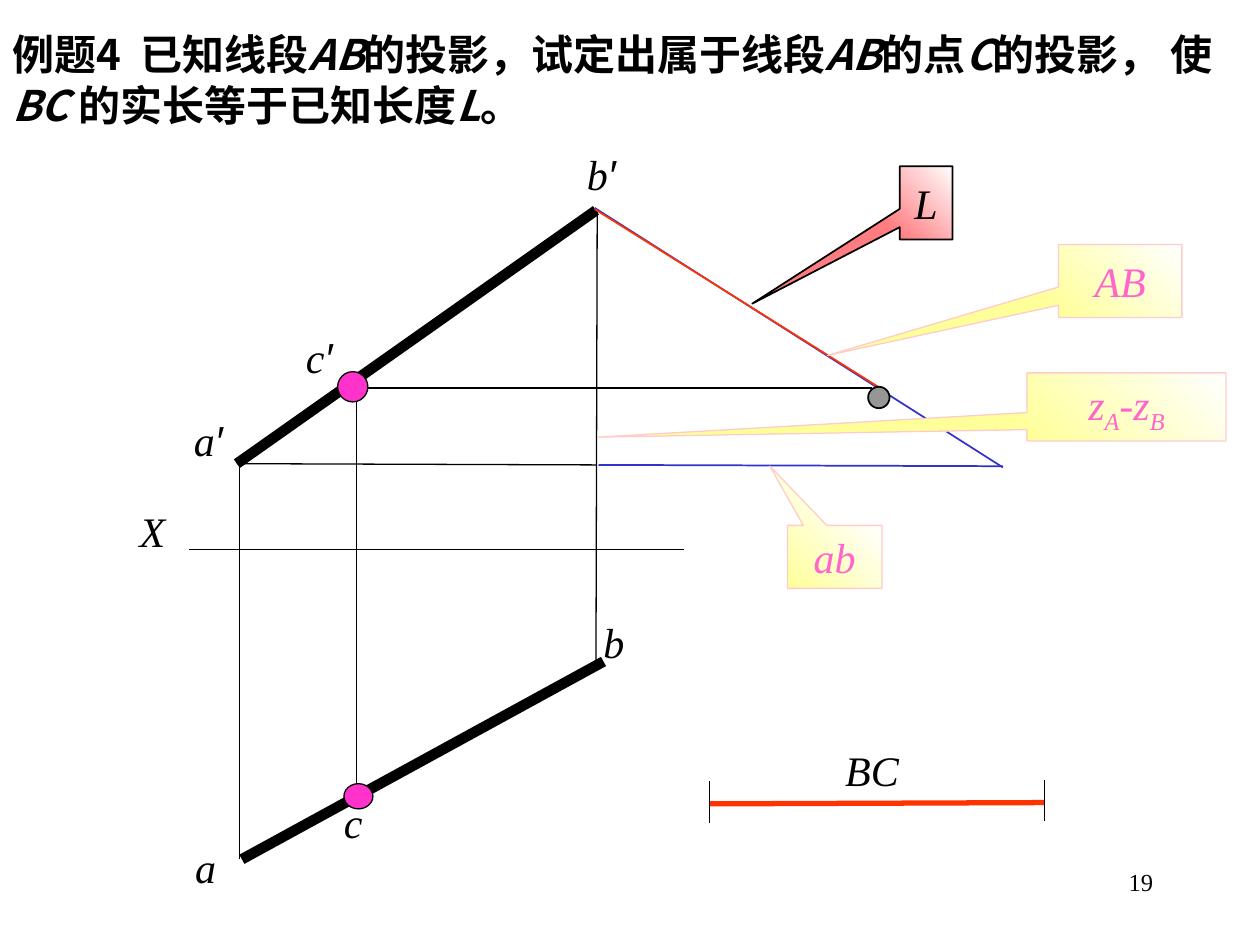
from lxml import etree
from pptx import Presentation
from pptx.dml.color import RGBColor
from pptx.enum.shapes import MSO_CONNECTOR as Connector, MSO_SHAPE as Shape
from pptx.enum.text import MSO_ANCHOR as Anchor, PP_ALIGN as Align
from pptx.oxml.ns import qn
from pptx.util import Inches, Pt

THEME = dict(
    black="000000", blue="3333CC", red="FF3300", magenta="FF33CC", grey="969696",
    pink="FF66CC", pale_pink="FFCCCC", yellow=("FFFFFF", "FFFF99"), rose=("FEFEFE", "FF7C80"),
    serif="Times New Roman", prime="Arial", cjk="Noto Sans CJK SC",
    body=24, number=14, hair=0.75, thin=1, bar=3, thick=6,
)

# Title: (text, italic)
TITLE = [
    ("例题4  已知线段", False), ("AB", True), ("的投影，试定出属于线段", False),
    ("AB", True), ("的点", False), ("C", True), ("的投影， 使", False),
    ("BC ", True), ("的实长等于已知长度", False), ("L", True), ("。", False),
]

# Lines: start, end, colour, width
LINES = [
    ((1.9, 6.82), (1.9, 3.68), "black", "hair"),      # a to a′
    ((5.43, 4.36), (1.5, 4.36), "black", "hair"),     # X axis
    ((4.73, 5.25), (4.74, 1.67), "black", "hair"),    # b to b′
    ((4.73, 1.67), (1.88, 3.68), "black", "thick"),   # a′b′
    ((1.88, 3.68), (4.73, 3.69), "black", "hair"),    # level of a′
    ((1.92, 6.82), (4.79, 5.25), "black", "thick"),   # ab
    ((5.63, 6.38), (8.29, 6.37), "red", "bar"),       # given length BC
    ((5.63, 6.2), (5.63, 6.53), "black", "hair"),
    ((8.29, 6.19), (8.29, 6.52), "black", "hair"),
    ((6.92, 3.08), (2.74, 3.08), "black", "hair"),    # level of c′
    ((2.83, 3.02), (2.83, 6.33), "black", "hair"),    # c′ to c
    ((4.75, 3.69), (7.96, 3.7), "blue", "thin"),      # true-length triangle
    ((4.72, 1.65), (7.96, 3.71), "blue", "thin"),
    ((4.72, 1.66), (6.97, 3.07), "red", "thin"),      # true length L
]

# Labels: text, left, top, width
LABELS = [
    ("b", 4.69, 4.84, 0.96), ("b′", 4.56, 1.13, 0.75), ("X", 1.01, 3.96, 1.18),
    ("a′", 1.44, 3.24, 0.71), ("a", 1.45, 6.63, 0.89), ("BC", 6.61, 5.86, 1),
    ("c", 2.63, 6.27, 0.45), ("c′", 2.33, 2.58, 0.86),
]
LABEL_HEIGHT = 0.5

# Points: left, top, width, height, fill, outline
POINTS = [
    (2.73, 6.22, 0.23, 0.2, "magenta", "hair"),
    (6.89, 3.07, 0.17, 0.17, "grey", "thin"),
    (2.68, 2.95, 0.24, 0.24, "magenta", "hair"),
]

# Callouts: (text, subscript) parts, box, tip, gradient, outline, width, text colour
YELLOW_STYLE = ("yellow", "pale_pink", "hair", "pink")
CALLOUTS = [
    ([("L", False)], (7.14, 1.32, 0.42, 0.58), (5.97, 2.41), ("rose", "black", "thin", "black")),
    ([("AB", False)], (8.4, 1.94, 0.98, 0.58), (6.57, 2.82), YELLOW_STYLE),
    ([("z", False), ("A", True), ("-z", False), ("B", True)],
     (8.15, 2.96, 1.58, 0.54), (4.75, 3.47), YELLOW_STYLE),
    ([("ab", False)], (6.25, 4.17, 0.75, 0.5), (6.11, 3.7), YELLOW_STYLE),
]
PAGE_NUMBER = "19"


def color(name):
    return RGBColor.from_string(THEME[name])


def set_font(font, face="serif", size="body", tint="black", italic=None, bold=None):
    font.name, font.size = THEME[face], Pt(THEME[size])
    font.italic, font.bold = italic, bold
    font.color.rgb = color(tint)


def set_east_asian(font, face):
    latin = font._element.find(qn("a:latin"))
    east_asian = etree.Element(qn("a:ea"), typeface=THEME[face])
    latin.addnext(east_asian)


def add_text(slide, left, top, width, height):
    frame = slide.shapes.add_textbox(*map(Inches, (left, top, width, height))).text_frame
    frame.word_wrap = True
    return frame.paragraphs[0]


def add_run(paragraph, text):
    run = paragraph.add_run()
    run.text = text
    return run


def add_line(slide, start, end, tint, width):
    line = slide.shapes.add_connector(Connector.STRAIGHT, *map(Inches, start + end))
    line.line.color.rgb = color(tint)
    line.line.width = Pt(THEME[width])
    etree.SubElement(line._element.spPr, qn("a:effectLst"))


def add_outlined(slide, kind, box, tint, width):
    shape = slide.shapes.add_shape(kind, *map(Inches, box))
    shape.shadow.inherit = False
    shape.line.color.rgb = color(tint)
    shape.line.width = Pt(THEME[width])
    return shape


def add_callout(slide, parts, box, tip, style):
    gradient, outline, width, tint = style
    callout = add_outlined(slide, Shape.RECTANGULAR_CALLOUT, box, outline, width)
    # The tip is measured from the box centre, in box widths and heights
    for axis in (0, 1):
        start, extent = box[axis], box[axis + 2]
        callout.adjustments[axis] = (tip[axis] - start) / extent - 0.5
    callout.fill.gradient()
    callout.fill.gradient_angle = 225
    for stop, shade in zip(callout.fill.gradient_stops, THEME[gradient]):
        stop.color.rgb = RGBColor.from_string(shade)
    for stop, position in zip(callout.fill.gradient_stops, (0, 1)):
        stop.position = position
    frame = callout.text_frame
    frame.word_wrap = False
    frame.vertical_anchor = Anchor.MIDDLE
    paragraph = frame.paragraphs[0]
    paragraph.alignment = Align.CENTER
    set_font(paragraph.font, tint=tint, italic=True)
    for text, subscript in parts:
        run = add_run(paragraph, text)
        run.font.color.rgb = color(tint)
        if subscript:
            run.font._element.set("baseline", "-25000")


def main():
    deck = Presentation()
    deck.slide_width, deck.slide_height = Inches(10), Inches(7.5)
    slide = deck.slides.add_slide(deck.slide_layouts[6])

    # Title
    title = add_text(slide, 0, 0.18, 10, 0.9)
    set_font(title.font, "cjk", bold=True)
    set_east_asian(title.font, "cjk")
    for text, italic in TITLE:
        add_run(title, text).font.italic = italic

    # Projection drawing
    for line in LINES:
        add_line(slide, *line)
    for text, left, top, width in LABELS:
        label = add_text(slide, left, top, width, LABEL_HEIGHT)
        set_font(label.font, italic=True)
        letter = text.rstrip("′")
        add_run(label, letter)
        if letter != text:
            prime = add_run(label, "′")
            prime.font.name = THEME["prime"]
            set_east_asian(prime.font, "prime")
    for *box, fill, width in POINTS:
        point = add_outlined(slide, Shape.OVAL, box, "black", width)
        point.fill.solid()
        point.fill.fore_color.rgb = color(fill)

    # Callouts
    for callout in CALLOUTS:
        add_callout(slide, *callout)

    # Page number
    number = add_text(slide, 7.17, 6.83, 2.08, 0.5)
    number.alignment = Align.RIGHT
    set_font(number.font, size="number")
    add_run(number, PAGE_NUMBER)

    deck.save("out.pptx")


if __name__ == "__main__":
    main()
